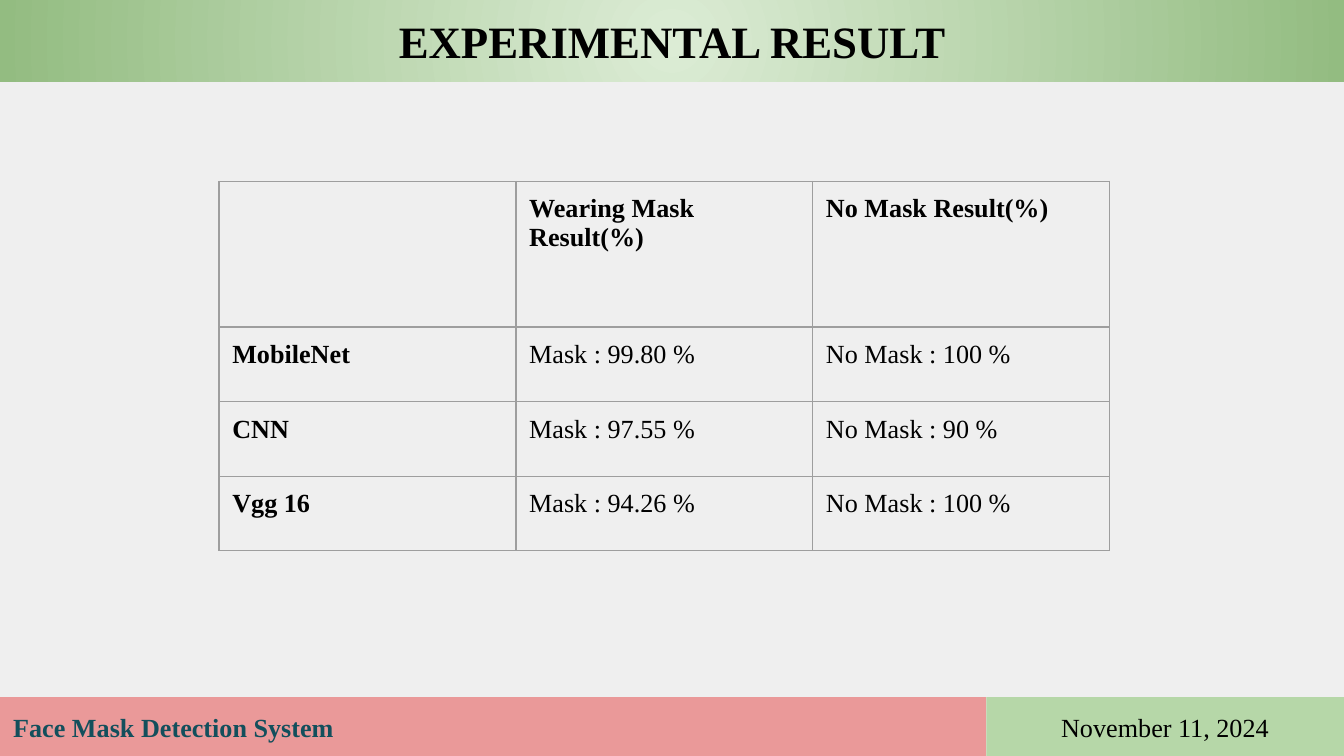
import pptx
import pptx.util
import pptx.dml.color
import pptx.enum.shapes
import pptx.enum.text
import pptx.oxml
import pptx.oxml.ns

Cm = pptx.util.Cm
Pt = pptx.util.Pt
ALIGN = pptx.enum.text.PP_ALIGN
ANCHOR = pptx.enum.text.MSO_ANCHOR
NS = pptx.oxml.ns.nsdecls("a")

HUES = {
    "page": "EFEFEF", "pale": "DCECD5", "leaf": "93BC81",
    "rose": "EA9999", "mint": "B6D7A8", "teal": "134F5C",
    "ink": "000000", "grid": "9E9E9E",
}
WIDE, HIGH = 25.4, 14.29


def hue(name):
    return pptx.dml.color.RGBColor.from_string(HUES[name])


class Deck:
    face = "Times New Roman"
    inset = 0.25

    def __init__(self):
        self.file = pptx.Presentation()
        self.file.slide_width = Cm(WIDE)
        self.file.slide_height = Cm(HIGH)
        self.slide = self.file.slides.add_slide(self.file.slide_layouts[6])
        back = self.slide.background.fill
        back.solid()
        back.fore_color.rgb = hue("page")

    def pad(self, item):
        for side in ("left", "right", "top", "bottom"):
            setattr(item, "margin_" + side, Cm(self.inset))

    def label(self, frame, text, size=14, bold=False, tone="ink", align=ALIGN.LEFT):
        frame.word_wrap = True
        para = frame.paragraphs[0]
        para.alignment = align
        run = para.add_run()
        run.text = text
        form = {"name": self.face, "size": Pt(size), "bold": bold}
        for key, value in form.items():
            setattr(run.font, key, value)
        run.font.color.rgb = hue(tone)

    def bar(self, place, fill, text, **form):
        kind = pptx.enum.shapes.MSO_SHAPE.RECTANGLE
        shape = self.slide.shapes.add_shape(kind, *map(Cm, place))
        shape.shadow.inherit = False
        shape.line.fill.background()
        if isinstance(fill, tuple):
            self.glow(shape, fill)
        else:
            shape.fill.solid()
            shape.fill.fore_color.rgb = hue(fill)
        frame = shape.text_frame
        self.pad(frame)
        frame.vertical_anchor = ANCHOR.MIDDLE
        self.label(frame, text, **form)

    def glow(self, shape, pair):
        """Fill a shape with a gradient that spreads from its centre."""
        shape.fill.gradient()
        for stop, name in zip(shape.fill.gradient_stops, pair):
            stop.color.rgb = hue(name)
        line = shape._element.spPr.find(".//" + pptx.oxml.ns.qn("a:lin"))
        ring = pptx.oxml.parse_xml(
            f'<a:path {NS} path="circle">'
            '<a:fillToRect l="50000" t="50000" r="50000" b="50000"/></a:path>')
        line.getparent().replace(line, ring)

    def edge(self, cell):
        props = cell._tc.get_or_add_tcPr()
        for spot, side in enumerate("LRTB"):
            props.insert(spot, pptx.oxml.parse_xml(
                f'<a:ln{side} {NS} w="{Pt(0.75)}"><a:solidFill>'
                f'<a:srgbClr val="{HUES["grid"]}"/></a:solidFill></a:ln{side}>'))

    def table(self, left, top, wide, highs, rows):
        count = len(rows[0])
        grid = self.slide.shapes.add_table(
            len(rows), count, Cm(left), Cm(top),
            Cm(wide * count), Cm(sum(highs))).table
        grid.first_row = grid.horz_banding = False
        for col in grid.columns:
            col.width = Cm(wide)
        for y, (high, row) in enumerate(zip(highs, rows)):
            grid.rows[y].height = Cm(high)
            for x, text in enumerate(row):
                cell = grid.cell(y, x)
                cell.fill.background()
                self.pad(cell)
                self.edge(cell)
                if text:
                    self.label(cell.text_frame, text, bold=y == 0 or x == 0)


def main():
    deck = Deck()

    # Title band
    deck.bar((0, 0, WIDE, 1.55), ("pale", "leaf"), "EXPERIMENTAL RESULT",
             size=24, bold=True, align=ALIGN.CENTER)

    # Footer: project name and date
    split, foot = 18.64, 1.11
    top = HIGH - foot
    deck.bar((0, top, split, foot), "rose", "Face Mask Detection System",
             bold=True, tone="teal")
    deck.bar((split, top, WIDE - split, foot), "mint", "November 11, 2024",
             align=ALIGN.CENTER)

    # Results by model
    scores = [("MobileNet", "99.80", "100"), ("CNN", "97.55", "90"),
              ("Vgg 16", "94.26", "100")]
    rows = [("", "Wearing Mask Result(%)", "No Mask Result(%)")]
    rows += [(name, f"Mask : {mask} %", f"No Mask : {bare} %")
             for name, mask, bare in scores]
    deck.table(4.14, 3.43, 5.61, [2.75] + [1.41] * len(scores), rows)

    deck.file.save("out.pptx")


if __name__ == "__main__":
    main()
